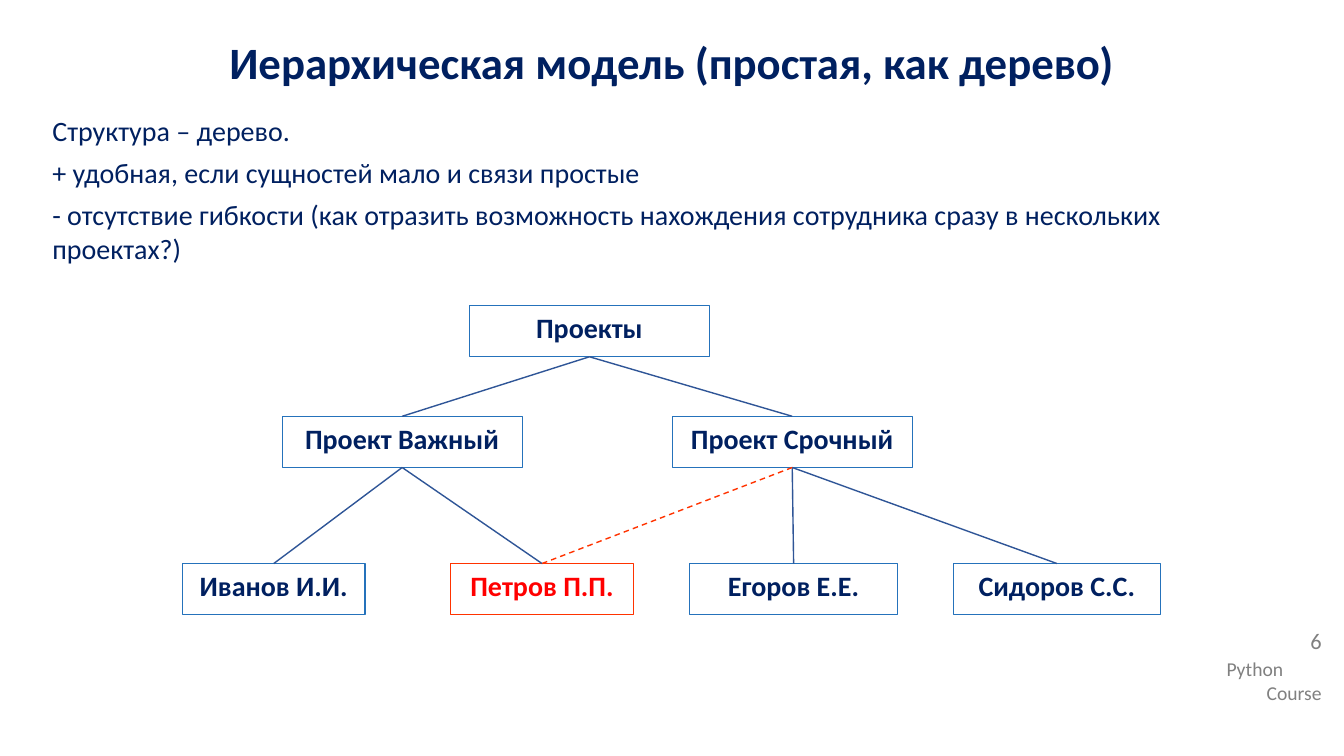
from lxml import etree
from pptx import Presentation
from pptx import util as u
from pptx.dml.color import RGBColor
from pptx.enum import dml, shapes, text
from pptx.oxml.ns import qn

NAVY = RGBColor(0x00, 0x20, 0x60)
BLUE = RGBColor(0x25, 0x72, 0xBB)
LINK_BLUE = RGBColor(0x2F, 0x55, 0x97)
ORANGE = RGBColor(0xFF, 0x33, 0x00)
RED = RGBColor(0xFF, 0x00, 0x00)
GREY = RGBColor(0x80, 0x80, 0x80)

deck = Presentation()
deck.slide_width, deck.slide_height = u.Cm(33.87), u.Cm(19.05)
page = deck.slides.add_slide(deck.slide_layouts[5])


def write(shape, wording, size, color, align, bold=False):
    frame = shape.text_frame
    frame.text = wording
    frame.word_wrap = True
    frame.vertical_anchor = text.MSO_ANCHOR.TOP
    for para in frame.paragraphs:
        para.alignment = align
        for span in para.runs:
            span.font.name = "Calibri"
            span.font.size = u.Pt(size)
            span.font.bold = bold
            span.font.color.rgb = color
    return frame


def add_text(left, top, width, height, wording, size, color, align):
    box = page.shapes.add_textbox(u.Cm(left), u.Cm(top), u.Cm(width), u.Cm(height))
    return write(box, wording, size, color, align)


# Title
title = page.shapes.title
title.left, title.top, title.width, title.height = u.Cm(0), u.Cm(0.58), u.Cm(33.87), u.Cm(1.93)
frame = write(title, "Иерархическая модель (простая, как дерево)", 32, NAVY, text.PP_ALIGN.CENTER, True)
frame.vertical_anchor = text.MSO_ANCHOR.MIDDLE
frame.paragraphs[0].space_after = u.Pt(5)

# Course name and page number
frame = add_text(30.66, 16.43, 2.9, 1.45, "Python\nCourse", 14, GREY, text.PP_ALIGN.RIGHT)
frame.paragraphs[0].alignment = text.PP_ALIGN.LEFT
frame = add_text(30.66, 15.75, 2.9, 1.14, "6", 16, GREY, text.PP_ALIGN.RIGHT)
frame.paragraphs[0].line_spacing = 0.9

# Description
description = "\n".join([
    "Структура – дерево.",
    "+ удобная, если сущностей мало и связи простые",
    "- отсутствие гибкости (как отразить возможность нахождения сотрудника сразу в нескольких проектах?)",
])
frame = add_text(1.07, 2.74, 31.72, 15.82, description, 20, NAVY, text.PP_ALIGN.LEFT)
for para in frame.paragraphs:
    para.space_after = u.Pt(6)

# Tree nodes: name, left, top, width, line colour, text colour
ROOT_TOP, PROJECT_TOP, PERSON_TOP = 7.7, 10.49, 14.2
nodes = {}
for name, left, top, width, line_color, text_color in [
    ("Проекты", 11.83, ROOT_TOP, 6.05, BLUE, NAVY),
    ("Проект Важный", 7.11, PROJECT_TOP, 6.05, BLUE, NAVY),
    ("Проект Срочный", 16.94, PROJECT_TOP, 6.05, BLUE, NAVY),
    ("Иванов И.И.", 4.6, PERSON_TOP, 4.6, BLUE, NAVY),
    ("Петров П.П.", 11.36, PERSON_TOP, 4.6, ORANGE, RED),
    ("Егоров Е.Е.", 17.37, PERSON_TOP, 5.26, BLUE, NAVY),
    ("Сидоров С.С.", 24.03, PERSON_TOP, 5.21, BLUE, NAVY),
]:
    node = page.shapes.add_shape(
        shapes.MSO_SHAPE.RECTANGLE, u.Cm(left), u.Cm(top), u.Cm(width), u.Cm(1.29))
    node.shadow.inherit = False
    node.fill.background()
    node.line.color.rgb = line_color
    node.line.width = u.Pt(0.75)
    frame = write(node, name, 20, text_color, text.PP_ALIGN.CENTER, True)
    frame.margin_left = frame.margin_right = u.Cm(0.1)
    nodes[name] = node

# Tree links, from the bottom of a parent to the top of a child
for parent, child, color, dashed in [
    ("Проекты", "Проект Важный", LINK_BLUE, False),
    ("Проекты", "Проект Срочный", LINK_BLUE, False),
    ("Проект Важный", "Иванов И.И.", LINK_BLUE, False),
    ("Проект Важный", "Петров П.П.", LINK_BLUE, False),
    ("Проект Срочный", "Егоров Е.Е.", LINK_BLUE, False),
    ("Проект Срочный", "Сидоров С.С.", LINK_BLUE, False),
    ("Проект Срочный", "Петров П.П.", ORANGE, True),
]:
    link = page.shapes.add_connector(shapes.MSO_CONNECTOR.STRAIGHT, 0, 0, 0, 0)
    link.begin_connect(nodes[parent], 2)
    link.end_connect(nodes[child], 0)
    link.line.color.rgb = color
    link.line.width = u.Pt(1)
    if dashed:
        link.line.dash_style = dml.MSO_LINE.DASH
    etree.SubElement(link._element.spPr, qn("a:effectLst"))

deck.save("out.pptx")
